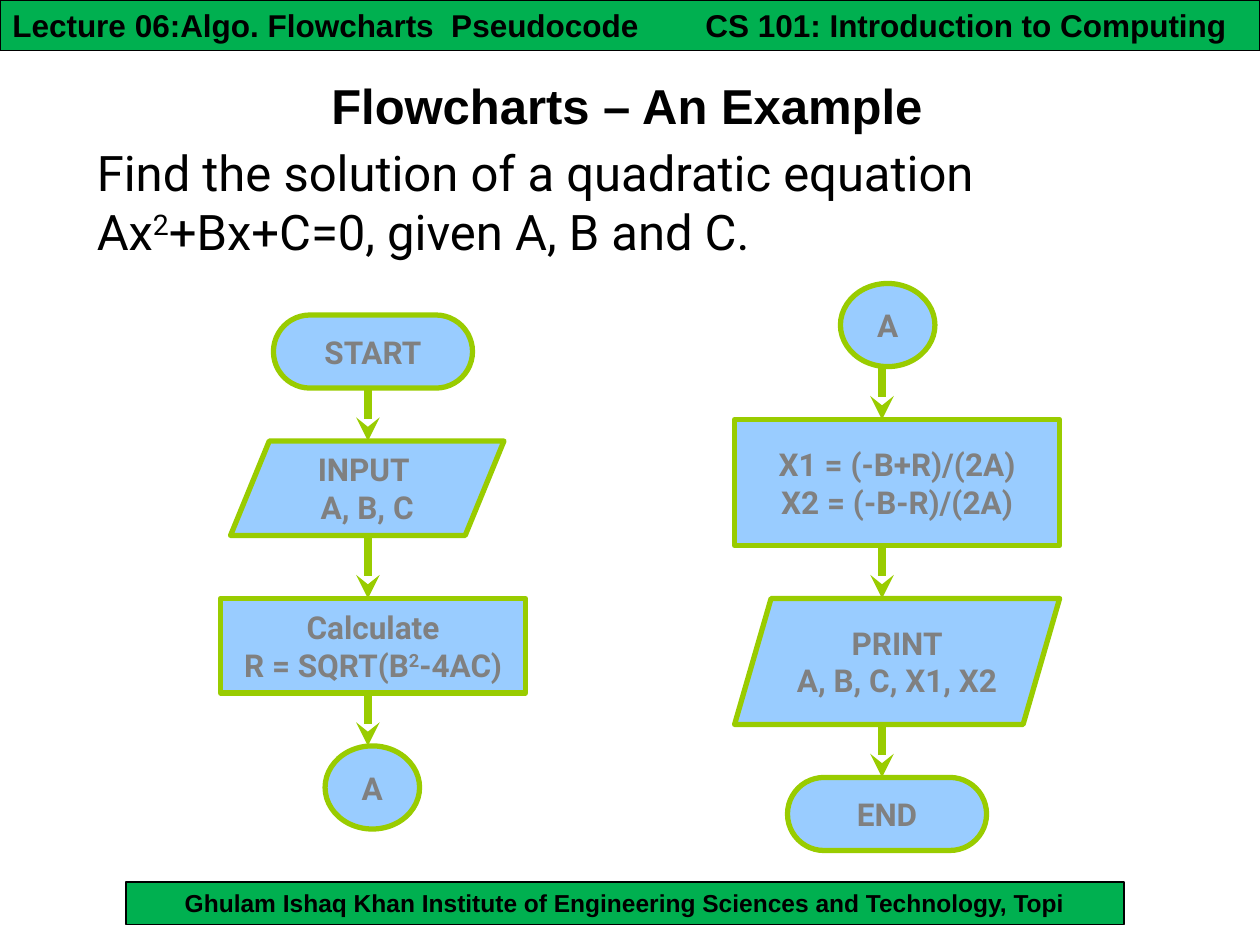
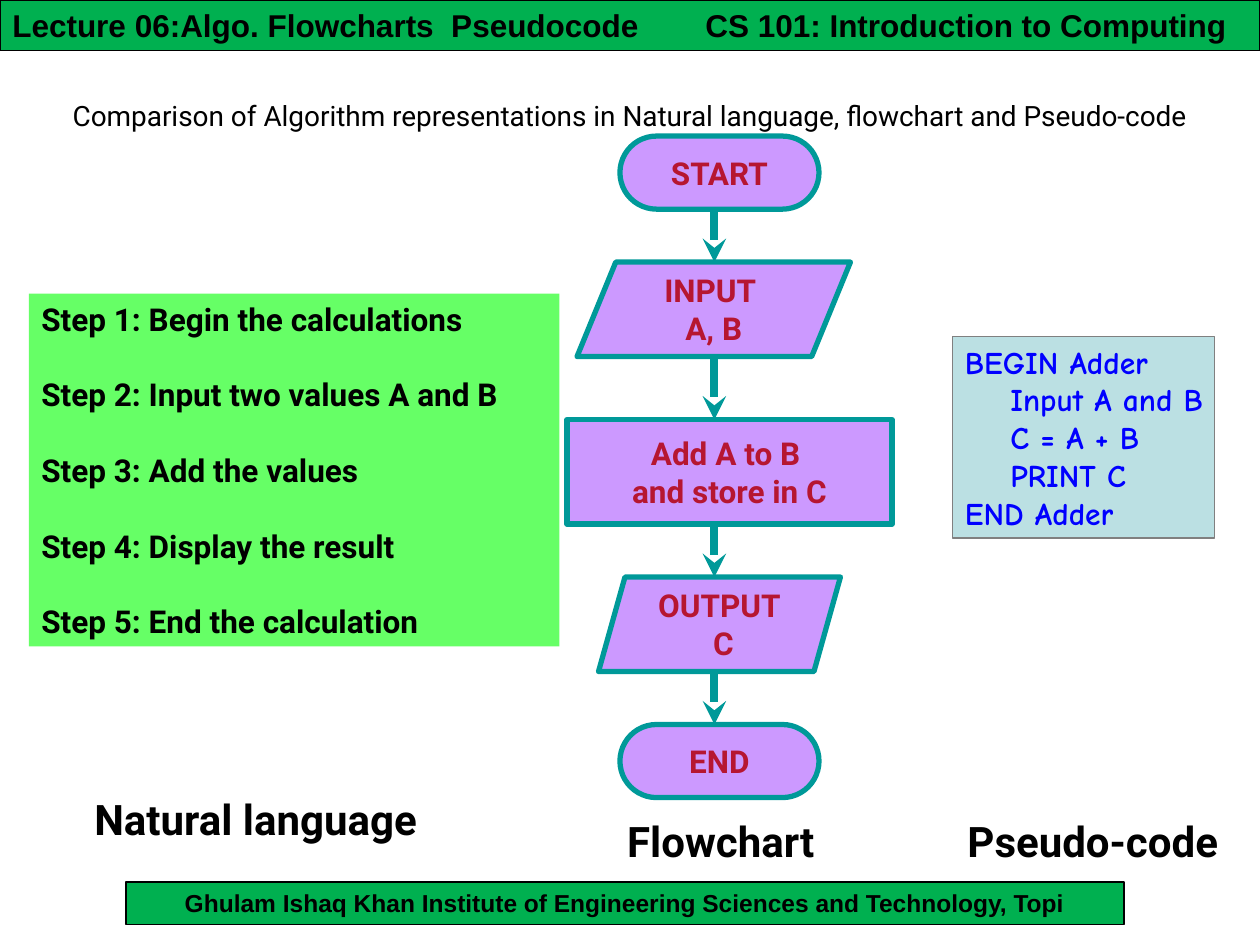
from itertools import pairwise

from lxml import etree
from pptx import Presentation
from pptx.dml.color import RGBColor
from pptx.enum.shapes import MSO_CONNECTOR, MSO_SHAPE
from pptx.enum.text import MSO_ANCHOR, MSO_AUTO_SIZE, PP_ALIGN
from pptx.oxml.ns import qn
from pptx.util import Inches, Pt

LEFT, CENTER = PP_ALIGN.LEFT, PP_ALIGN.CENTER
TOP, MIDDLE = MSO_ANCHOR.TOP, MSO_ANCHOR.MIDDLE
RECT, OVAL = MSO_SHAPE.RECTANGLE, MSO_SHAPE.OVAL
TERMINAL, SLANTED = MSO_SHAPE.ROUNDED_RECTANGLE, MSO_SHAPE.PARALLELOGRAM


class Theme:
    heading_font, body_font, code_font = "Arial", "Roboto", "Comic Neue"
    black, grey, blue, red = "000000", "808080", "0000FF", "B61631"
    band, steps, code = "00B050", "66FF66", "BBE0E3"
    large, caption, normal, subtitle, footer = 28, 24, 18, 16, 14
    thin, outline, arrow = 0.75, 3, 4.5


# Content: "^" switches superscript on and off
HEADER_LEFT = "Lecture 06:Algo. Flowcharts  Pseudocode"
HEADER_RIGHT = "CS 101: Introduction to Computing"
FOOTER = "Ghulam Ishaq Khan Institute of Engineering Sciences and Technology, Topi"

EXAMPLE_TITLE = "Flowcharts – An Example"
PROBLEM = "Find the solution of a quadratic equation Ax^2^+Bx+C=0, given A, B and C."
COMPARISON_TITLE = ("Comparison of Algorithm representations in Natural language, "
                    "flowchart and Pseudo-code")

STEPS = ["Step 1: Begin the calculations", "Step 2: Input two values A and B",
         "Step 3: Add the values", "Step 4: Display the result",
         "Step 5: End the calculation"]
PSEUDOCODE = ["BEGIN Adder", "Input A and B", "C = A + B", "PRINT C", "END Adder"]
CAPTIONS = [("Natural language", (0.65, 6.25, 3.14, 0.5)),
            ("Flowchart", (4.88, 6.42, 1.86, 0.5)),
            ("Pseudo-code", (7.58, 6.42, 2.3, 0.5))]

# Flowchart nodes: shape, adjustment, (left, top, width, height), lines
QUADRATIC_COLORS = {"fill": "99CCFF", "line": "99CC00", "text": Theme.grey}
ADDER_COLORS = {"fill": "CC99FF", "line": "009999", "text": Theme.red}

QUADRATIC_INPUT = [
    (TERMINAL, 0.5, (2.17, 2.5, 1.58, 0.58), ["START"]),
    (SLANTED, 0.41, (1.83, 3.5, 2.17, 0.75), ["INPUT ", "A, B, C"]),
    (RECT, None, (1.75, 4.75, 2.42, 0.75), ["Calculate", "R = SQRT(B^2^-4AC)"]),
    (OVAL, None, (2.58, 5.92, 0.75, 0.66), ["A"]),
]
QUADRATIC_OUTPUT = [
    (OVAL, None, (6.67, 2.25, 0.75, 0.66), ["A"]),
    (RECT, None, (5.83, 3.33, 2.58, 1), ["X1 = (-B+R)/(2A)", "X2 = (-B-R)/(2A)"]),
    (SLANTED, 0.29, (5.83, 4.75, 2.58, 1), ["PRINT", "A, B, C, X1, X2"]),
    (TERMINAL, 0.5, (6.25, 6.17, 1.58, 0.58), ["END"]),
]
ADDER = [
    (TERMINAL, 0.5, (4.92, 1.08, 1.58, 0.58), ["START"]),
    (SLANTED, 0.41, (4.58, 2.08, 2.17, 0.75), ["INPUT ", "A, B"]),
    (RECT, None, (4.5, 3.33, 2.58, 0.83), ["Add A to B ", "and store in C"]),
    (SLANTED, 0.28, (4.75, 4.58, 1.92, 0.75), ["OUTPUT", " C"]),
    (TERMINAL, 0.5, (4.92, 5.75, 1.58, 0.58), ["END"]),
]


# Drawing helpers
def rgb(value):
    return RGBColor.from_string(value)


def write(box, lines, size, font=Theme.body_font, color=Theme.black, bold=True,
          align=LEFT, anchor=TOP, wrap=True, right_inset=0.1):
    frame = box.text_frame
    frame.auto_size = MSO_AUTO_SIZE.NONE
    frame.word_wrap = wrap
    frame.vertical_anchor = anchor
    frame.margin_right = Inches(right_inset)
    for index, line in enumerate(lines):
        para = frame.add_paragraph() if index else frame.paragraphs[0]
        para.alignment = align
        for part, text in enumerate(line.split("^")):
            span = para.add_run()
            span.text = text
            span.font.name, span.font.size, span.font.bold = font, Pt(size), bold
            span.font.color.rgb = rgb(color)
            if part % 2:
                span._r.get_or_add_rPr().set("baseline", "30000")
    return frame.paragraphs


def add_text(page, place, lines, size, **style):
    box = page.shapes.add_textbox(*map(Inches, place))
    return write(box, lines, size, **style)


def add_box(page, kind, place, fill, line=None, width=Theme.thin):
    box = page.shapes.add_shape(kind, *map(Inches, place))
    box.shadow.inherit = False
    box.fill.solid()
    box.fill.fore_color.rgb = rgb(fill)
    if line:
        box.line.color.rgb = rgb(line)
        box.line.width = Pt(width)
    else:
        box.line.fill.background()
    return box


def add_arrow(page, x, top, bottom, color):
    arrow = page.shapes.add_connector(
        MSO_CONNECTOR.STRAIGHT, *map(Inches, (x, top, x, bottom)))
    arrow.line.color.rgb = rgb(color)
    arrow.line.width = Pt(Theme.arrow)
    properties = arrow._element.spPr
    etree.SubElement(properties.find(qn("a:ln")), qn("a:tailEnd"), type="stealth")
    etree.SubElement(properties, qn("a:effectLst"))


def add_flowchart(page, nodes, axis, colors):
    for kind, adjustment, place, lines in nodes:
        box = add_box(page, kind, place, colors["fill"], colors["line"], Theme.outline)
        if adjustment is not None:
            box.adjustments[0] = adjustment
        write(box, lines, Theme.normal, color=colors["text"],
              align=CENTER, anchor=MIDDLE, wrap=False)
    for (_, _, upper, _), (_, _, lower, _) in pairwise(nodes):
        add_arrow(page, axis, upper[1] + upper[3], lower[1], colors["line"])


def add_page(deck, title, place, size, **style):
    """Slide with the shared bands and a centred title."""
    page = deck.slides.add_slide(deck.slide_layouts[5])
    heading = {"font": Theme.heading_font}
    footer = add_box(page, RECT, (1, 7, 7.92, 0.34), Theme.band, Theme.black)
    write(footer, [FOOTER], Theme.footer, align=CENTER, **heading)
    header = add_box(page, RECT, (0, 0, 10, 0.4), Theme.band, Theme.black)
    write(header, [HEADER_LEFT], Theme.normal, **heading)
    add_text(page, (5.5, 0, 4.5, 0.4), [HEADER_RIGHT], Theme.normal, **heading)

    box = page.shapes.title
    box.left, box.top, box.width, box.height = map(Inches, place)
    write(box, [title], size, align=CENTER, anchor=MIDDLE, **style)
    return page


# Slides
def build_example(deck):
    page = add_page(deck, EXAMPLE_TITLE, (2.1, 0.37, 5.75, 0.92), Theme.large,
                    font=Theme.heading_font)
    problem = add_text(page, (0, 1.08, 10, 1.17), [PROBLEM], Theme.large, bold=False)
    problem[0]._p.get_or_add_pPr().set("marL", str(Inches(0.67)))
    add_flowchart(page, QUADRATIC_INPUT, 2.92, QUADRATIC_COLORS)
    add_flowchart(page, QUADRATIC_OUTPUT, 7, QUADRATIC_COLORS)


def build_comparison(deck):
    page = add_page(deck, COMPARISON_TITLE, (0, 0.5, 10, 0.83), Theme.subtitle,
                    bold=False)
    add_flowchart(page, ADDER, 5.67, ADDER_COLORS)

    steps = add_box(page, RECT, (0.23, 2.33, 4.21, 2.8), Theme.steps)
    for para in write(steps, STEPS, Theme.normal)[1:]:
        para.space_before = Pt(21.6)

    code = add_box(page, RECT, (7.56, 2.67, 2.08, 1.6), Theme.code, Theme.grey)
    lines = write(code, PSEUDOCODE, Theme.normal, font=Theme.code_font,
                  color=Theme.blue, right_inset=0)
    for para in lines[1:-1]:
        para._p.get_or_add_pPr().set("marL", str(Inches(0.36)))

    for caption, place in CAPTIONS:
        add_text(page, place, [caption], Theme.caption)


def main():
    deck = Presentation()
    deck.slide_width, deck.slide_height = Inches(10), Inches(7.5)
    build_example(deck)
    build_comparison(deck)
    deck.save("out.pptx")


if __name__ == "__main__":
    main()
